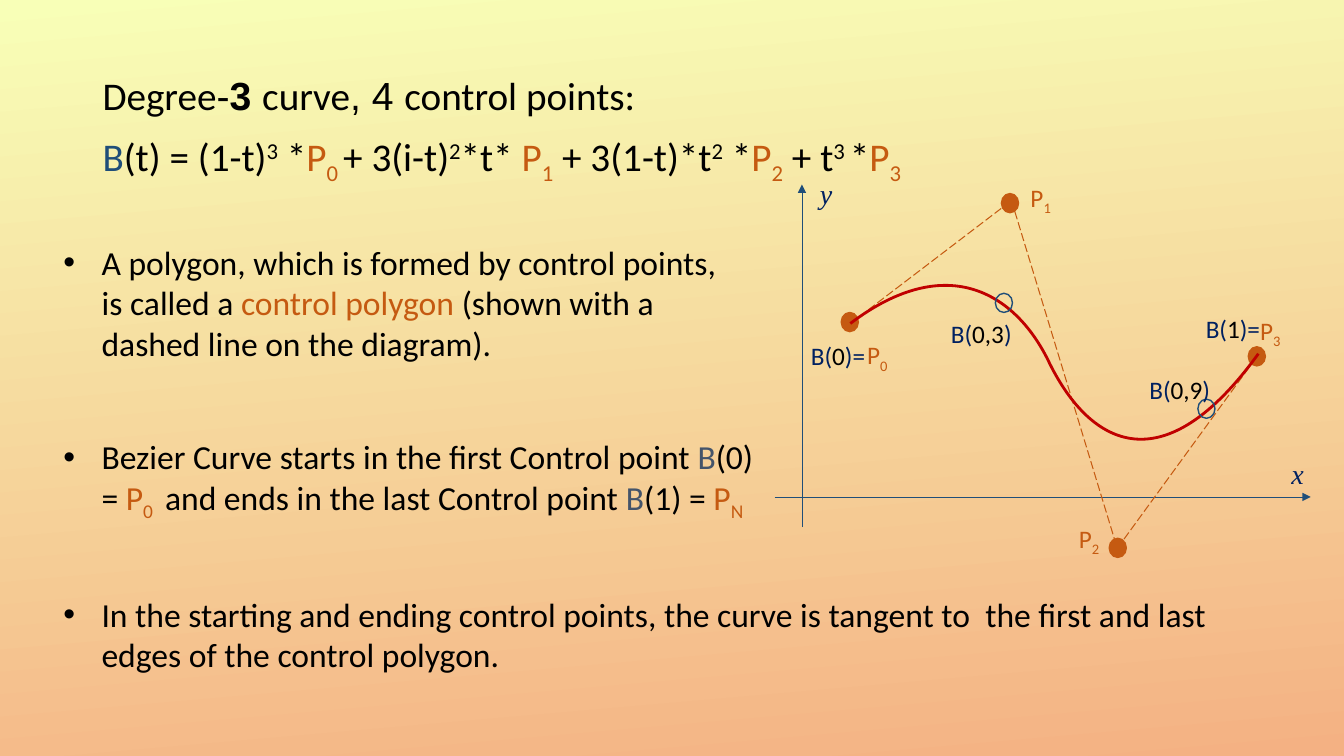
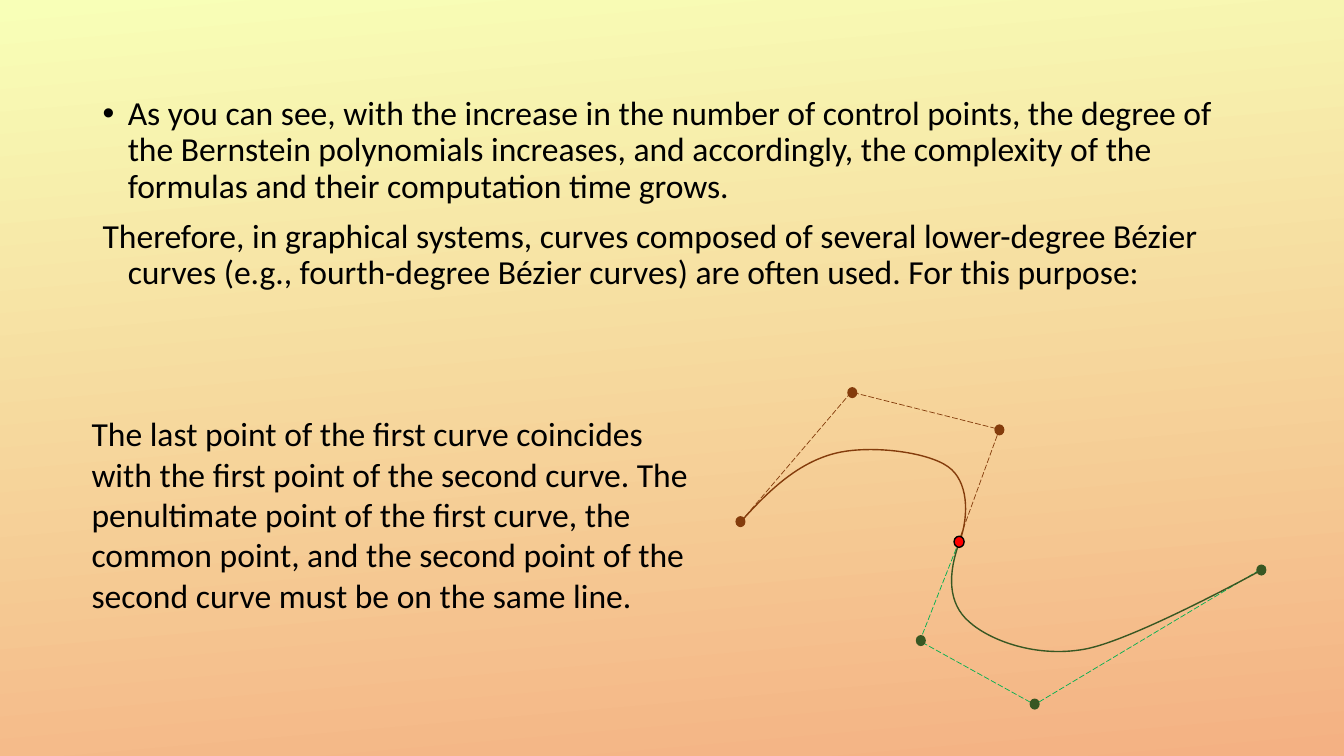
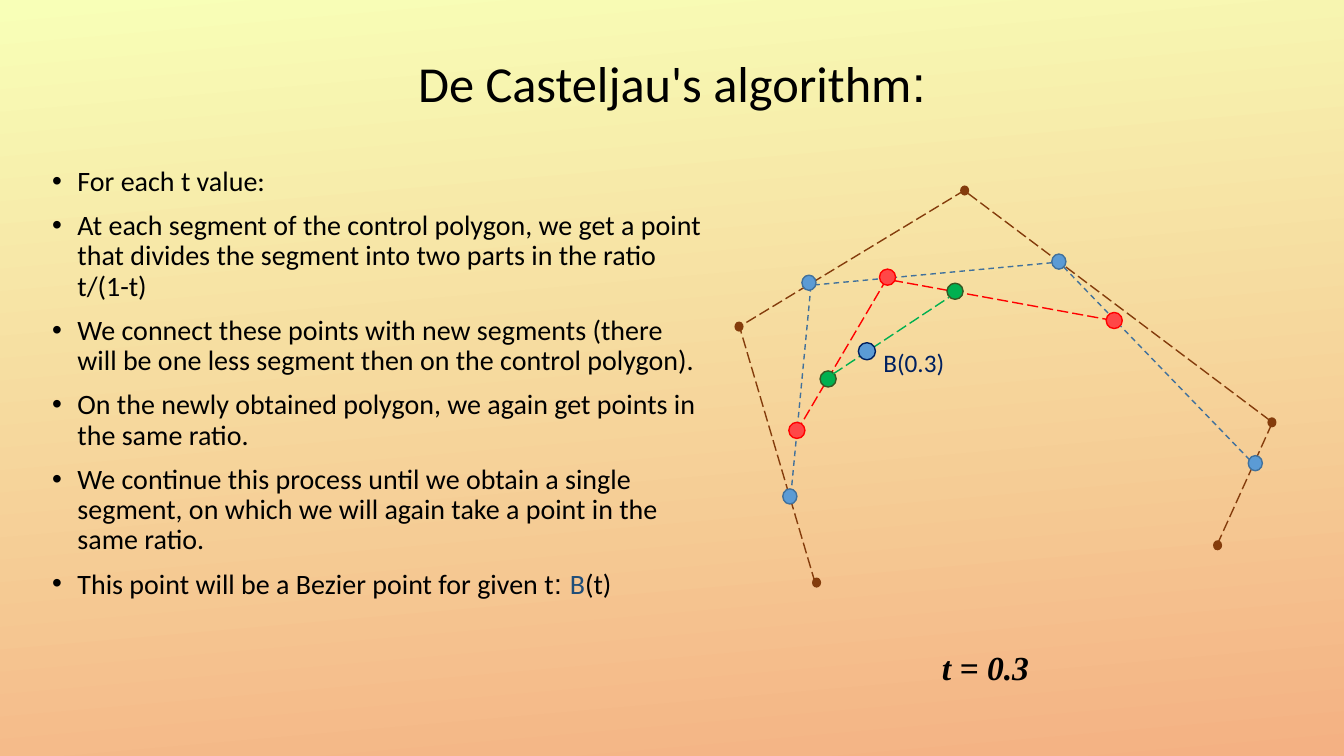
from dataclasses import dataclass

from lxml import etree
from pptx import Presentation
from pptx.dml.color import RGBColor
from pptx.enum.dml import MSO_LINE
from pptx.enum.shapes import MSO_CONNECTOR, MSO_SHAPE
from pptx.enum.text import MSO_ANCHOR, PP_ALIGN
from pptx.oxml.ns import qn
from pptx.util import Pt

PX = 9144  # 100 px to the inch
BLANK_LAYOUT = 6
STRAIGHT = MSO_CONNECTOR.STRAIGHT
OVAL = MSO_SHAPE.OVAL
DASH, LONG_DASH = MSO_LINE.DASH, MSO_LINE.LONG_DASH
MIDDLE, CENTER = MSO_ANCHOR.MIDDLE, PP_ALIGN.CENTER
SUP, SUB = 30, -25
SANS, BODY, SERIF = "Arial", "Calibri", "Times New Roman"
CURVE_STEPS = 24

COLORS = {
    "bg_top": "F8FFB7", "bg_bottom": "F4B183", "black": "000000",
    "blue": "1F4E79", "navy": "002060", "slate": "44546A",
    "orange": "C55A11", "curve_red": "C00000", "brown": "843C0C",
    "green": "00B050", "dark_green": "385723", "red": "FF0000",
    "light_red": "FF4747", "sky": "5B9BD5", "steel": "41719C",
}


@dataclass
class Run:
    text: str
    color: str = "black"
    base: int = 0
    font: str = BODY
    bold: bool = False
    italic: bool = False


@dataclass
class Para:
    runs: list
    hang: int = 0
    bullet: bool = False


def rgb(name):
    return RGBColor.from_string(COLORS[name])


def px(*lengths):
    return [round(length * PX) for length in lengths]


def bullets(texts, hang):
    return [Para([Run(text)], hang, True) for text in texts]


def control_point(index):
    return [Run("P", "orange"), Run(index, "orange", SUB)]


def curve_point(t, end=")"):
    return [Run("B(", "navy"), Run(t), Run(end, "navy")]


def set_background(master):
    fill = master.background.fill
    fill.gradient()
    fill.gradient_angle = 275
    for stop, name in zip(fill.gradient_stops, ("bg_top", "bg_bottom")):
        stop.color.rgb = rgb(name)


def set_hanging(paragraph, hang, bullet):
    props = paragraph._p.get_or_add_pPr()
    props.set("marL", str(hang * PX))
    props.set("indent", str(-hang * PX))
    if bullet:
        color = etree.SubElement(props, qn("a:buClr"))
        etree.SubElement(color, qn("a:srgbClr"), val=COLORS["black"])
        etree.SubElement(props, qn("a:buFont"), typeface=SANS)
        etree.SubElement(props, qn("a:buChar"), char="•")


def add_run(paragraph, run, size):
    piece = paragraph.add_run()
    piece.text = run.text
    font = piece.font
    font.name, font.size = run.font, Pt(size)
    font.bold, font.italic = run.bold, run.italic
    font.color.rgb = rgb(run.color)
    if run.base:
        font._element.set("baseline", str(run.base * 1000))


def add_text(slide, box, paras, size, spacing=1.0, before=0,
             align=None, anchor=None):
    frame = slide.shapes.add_textbox(*px(*box)).text_frame
    frame.word_wrap = True
    if anchor is not None:
        frame.vertical_anchor = anchor
    for number, para in enumerate(paras):
        paragraph = frame.add_paragraph() if number else frame.paragraphs[0]
        if para.hang:
            set_hanging(paragraph, para.hang, para.bullet)
        paragraph.line_spacing = spacing
        paragraph.space_before = Pt(before if number else 0)
        if align is not None:
            paragraph.alignment = align
        for run in para.runs:
            add_run(paragraph, run, size)


def add_label(slide, box, runs, size=18):
    add_text(slide, box, [Para(runs)], size)


def set_line(line, color, width, dash=None):
    line.color.rgb = rgb(color)
    line.width = Pt(width)
    if dash is not None:
        line.dash_style = dash


def add_line(slide, start, end, color, width, dash=None, arrow=False):
    line = slide.shapes.add_connector(STRAIGHT, *px(*start, *end))
    set_line(line.line, color, width, dash)
    if arrow:
        etree.SubElement(line.line._get_or_add_ln(), qn("a:tailEnd"),
                         type="triangle")
    etree.SubElement(line._element.spPr, qn("a:effectLst"))


def add_outline(slide, points, color, width, dash=None):
    """Draw an open outline through the points."""
    corners = [px(*point) for point in points]
    builder = slide.shapes.build_freeform(*corners[0], scale=1.0)
    builder.add_line_segments(corners[1:], close=False)
    outline = builder.convert_to_shape()
    outline.shadow.inherit = False
    outline.fill.background()
    set_line(outline.line, color, width, dash)
    return outline


def bezier(points):
    """Sample a chain of cubic segments: a start, then three points each."""
    sampled = [points[0]]
    for first in range(0, len(points) - 1, 3):
        segment = points[first:first + 4]
        for step in range(1, CURVE_STEPS + 1):
            t = step / CURVE_STEPS
            weights = ((1 - t) ** 3, 3 * (1 - t) ** 2 * t,
                       3 * (1 - t) * t ** 2, t ** 3)
            sampled.append([sum(w * c for w, c in zip(weights, axis))
                            for axis in zip(*segment)])
    return sampled


def add_curve(slide, points, color, width):
    """Size the shape by its sampled curve, then store true cubic segments."""
    curve = add_outline(slide, bezier(points), color, width)
    track = next(curve._element.iter(qn("a:path")))
    for segment in track.findall(qn("a:lnTo")):
        track.remove(segment)
    for number, point in enumerate(points[1:]):
        if number % 3 == 0:
            cubic = etree.SubElement(track, qn("a:cubicBezTo"))
        x, y = px(*point)
        etree.SubElement(cubic, qn("a:pt"), x=str(x - curve.left),
                         y=str(y - curve.top))


def add_dots(slide, corners, size, fill=None, line=None):
    for corner in corners:
        dot = slide.shapes.add_shape(OVAL, *px(*corner, *size))
        dot.shadow.inherit = False
        if fill:
            dot.fill.solid()
            dot.fill.fore_color.rgb = rgb(fill)
        else:
            dot.fill.background()
        if line:
            set_line(dot.line, line, 1)
        else:
            dot.line.fill.background()


def cubic_curve_slide(slide):
    heading = [Run("Degree"), Run("-", font=SANS),
               Run("3 ", font=SANS, bold=True), Run("curve"),
               Run(", 4 ", font=SANS), Run("control points:")]
    formula = [
        Run("B", "blue"), Run("(t) = (1-t)"), Run("3", base=SUP), Run(" *"),
        *control_point("0 "), Run("+ 3(i-t)"), Run("2", base=SUP),
        Run("*t* "), *control_point("1"), Run(" + 3(1-t)*t"),
        Run("2", base=SUP), Run(" *"), *control_point("2"), Run(" + t"),
        Run("3 ", base=SUP), Run("*"), *control_point("3")]
    add_text(slide, (92, 71, 1150, 140), [Para(heading), Para(formula)],
             28, 0.9, 10)

    for start, end in (((769, 493), (1301, 493)), ((796, 523), (796, 183))):
        add_line(slide, start, end, "blue", 0.5, arrow=True)
    for name, box in (("x", (1272, 448, 61, 44)), ("y", (804, 170, 61, 44))):
        add_label(slide, box, [Run(name, "navy", font=SERIF, italic=True)], 20)

    dot_size = (17, 19)
    add_dots(slide, [(835, 310), (994, 192), (1101, 534), (1239, 344)],
             dot_size, "orange", "orange")
    polygon = [(844, 321), (1004, 199), (1109, 544), (1246, 356)]
    for start, end in zip(polygon, polygon[1:]):
        add_line(slide, start, end, "orange", 0.75, LONG_DASH)
    curve = [(844, 321), (942, 247), (1010, 293), (1042, 361),
             (1083, 443), (1155, 481), (1249, 351)]
    add_curve(slide, curve, "curve_red", 2)
    add_dots(slide, [(1189, 396), (988, 291)], dot_size, line="blue")

    for runs, box in ((control_point("0"), (851, 332, 77, 44)),
                      (control_point("1"), (1013, 176, 59, 44)),
                      (control_point("2"), (1061, 514, 68, 44)),
                      (curve_point("0,3"), (934, 311, 126, 40)),
                      (curve_point("0,9"), (1131, 366, 126, 40)),
                      (curve_point("0", ")="), (795, 333, 84, 40)),
                      (curve_point("1", ")="), (1187, 306, 126, 40)),
                      (control_point("3"), (1241, 308, 68, 44))):
        add_label(slide, box, runs)

    polygon_note = [
        Run("A polygon, which is formed by control points, is called a "),
        Run("control polygon ", "orange"),
        Run("(shown with a dashed line on the diagram).")]
    ends_note = [
        Run("Bezier Curve starts in the first Control point "),
        Run("B", "slate"), Run("(0) = "), *control_point("0 "),
        Run(" and ends in the last Control point "),
        Run("B", "slate"), Run("(1) = "), *control_point("N")]
    tangent_note = [
        Run("In the starting and ending control points, the curve is tangent "
            "to  the first and last edges of the control polygon.")]
    for note, box in ((ends_note, (53, 428, 717, 141)),
                      (tangent_note, (53, 584, 1196, 90)),
                      (polygon_note, (53, 235, 692, 130))):
        add_text(slide, box, [Para(note, 38, True)], 24)


def joined_curves_slide(slide):
    degree_note = bullets([
        "As you can see, with the increase in the number of control points, "
        "the degree of the Bernstein polynomials increases, and accordingly, "
        "the complexity of the formulas and their computation time grows."],
        25)
    composite_note = Para([Run(
        "Therefore, in graphical systems, curves composed of several "
        "lower-degree Bézier curves (e.g., fourth-degree Bézier curves) are "
        "often used. For this purpose:")], 25)
    add_text(slide, (92, 91, 1150, 302), [*degree_note, composite_note],
             24, 0.9, 10)

    first_polygon = [(735, 518), (845, 389), (992, 426), (952, 536)]
    second_polygon = [(952, 537), (913, 636), (1027, 699), (1256, 562)]
    add_outline(slide, first_polygon, "brown", 0.5, LONG_DASH)
    add_outline(slide, second_polygon, "green", 0.5, LONG_DASH)
    first_curve = [(735, 518), (766, 483), (794, 459), (828, 450),
                   (862, 441), (920, 448), (941, 463),
                   (961, 477), (962, 510), (953, 536)]
    second_curve = [(953, 536), (940, 570), (941, 599), (962, 617),
                    (982, 635), (1028, 653), (1077, 644),
                    (1126, 635), (1255, 564), (1255, 564)]
    add_curve(slide, first_curve, "brown", 1)
    add_curve(slide, second_curve, "dark_green", 1)

    dot_size = (10, 11)
    add_dots(slide, [(730, 512), (841, 384), (987, 421)], dot_size, "brown")
    add_dots(slide, [(947, 532)], dot_size, "red", "black")
    add_dots(slide, [(909, 630), (1022, 693), (1247, 560)], dot_size,
             "dark_green")

    add_label(slide, (81, 405, 619, 210), [Run(
        "The last point of the first curve coincides with the first point of "
        "the second curve. The penultimate point of the first curve, the "
        "common point, and the second point of the second curve must be on "
        "the same line.")], 24)


def casteljau_slide(slide):
    add_text(slide, (92, 40, 1150, 91),
             [Para([Run("De Casteljau's algorithm"), Run(":", font=SANS)])],
             36, 0.9, align=CENTER, anchor=MIDDLE)
    steps = bullets([
        "For each t value:",
        "At each segment of the control polygon, we get a point that divides "
        "the segment into two parts in the ratio t/(1-t)",
        "We connect these points with new segments (there will be one less "
        "segment then on the control polygon).",
        "On the newly obtained polygon, we again get points in the same "
        "ratio.",
        "We continue this process until we obtain a single segment, on which "
        "we will again take a point in the same ratio."], 25)
    result = Para([Run("This point will be a Bezier point for given t"),
                   Run(": ", font=SANS), Run("B", "blue"), Run("(t)")],
                  25, True)
    add_text(slide, (42, 161, 665, 559), [*steps, result], 20, 0.9, 10)

    levels = [
        ([(809, 578), (734, 324), (957, 189), (1263, 419), (1206, 545)],
         "brown", LONG_DASH,
         [(806, 573), (729, 319), (953, 184), (1258, 414), (1204, 536)],
         (9, 10), "brown", None),
        ([(785, 491), (805, 283), (1051, 260), (1246, 462)],
         "steel", DASH,
         [(777, 485), (796, 273), (1044, 252), (1239, 452)],
         (14, 15), "sky", "steel"),
        ([(1105, 318), (880, 277), (791, 428)], "red", LONG_DASH,
         [(783, 419), (873, 267), (1098, 310)],
         (16, 16), "light_red", "red"),
    ]
    for corners, color, dash, dots, size, fill, edge in levels:
        add_outline(slide, corners, color, 1, dash)
        add_dots(slide, dots, size, fill, edge)
    add_dots(slide, [(814, 368), (940, 281)], (16, 16), "green", "dark_green")
    add_line(slide, (827, 371), (942, 295), "green", 1, LONG_DASH)
    add_dots(slide, [(852, 340)], (17, 17), "sky", "navy")
    add_label(slide, (867, 340, 84, 40), [Run("B(0.3)", "navy")])
    add_label(slide, (925, 637, 148, 50),
              [Run("t = 0.3", font=SERIF, bold=True, italic=True)], 24)


def main():
    prs = Presentation()
    prs.slide_width, prs.slide_height = px(1334, 750)
    set_background(prs.slide_master)
    for build in (cubic_curve_slide, joined_curves_slide, casteljau_slide):
        build(prs.slides.add_slide(prs.slide_layouts[BLANK_LAYOUT]))
    prs.save("out.pptx")


if __name__ == "__main__":
    main()
